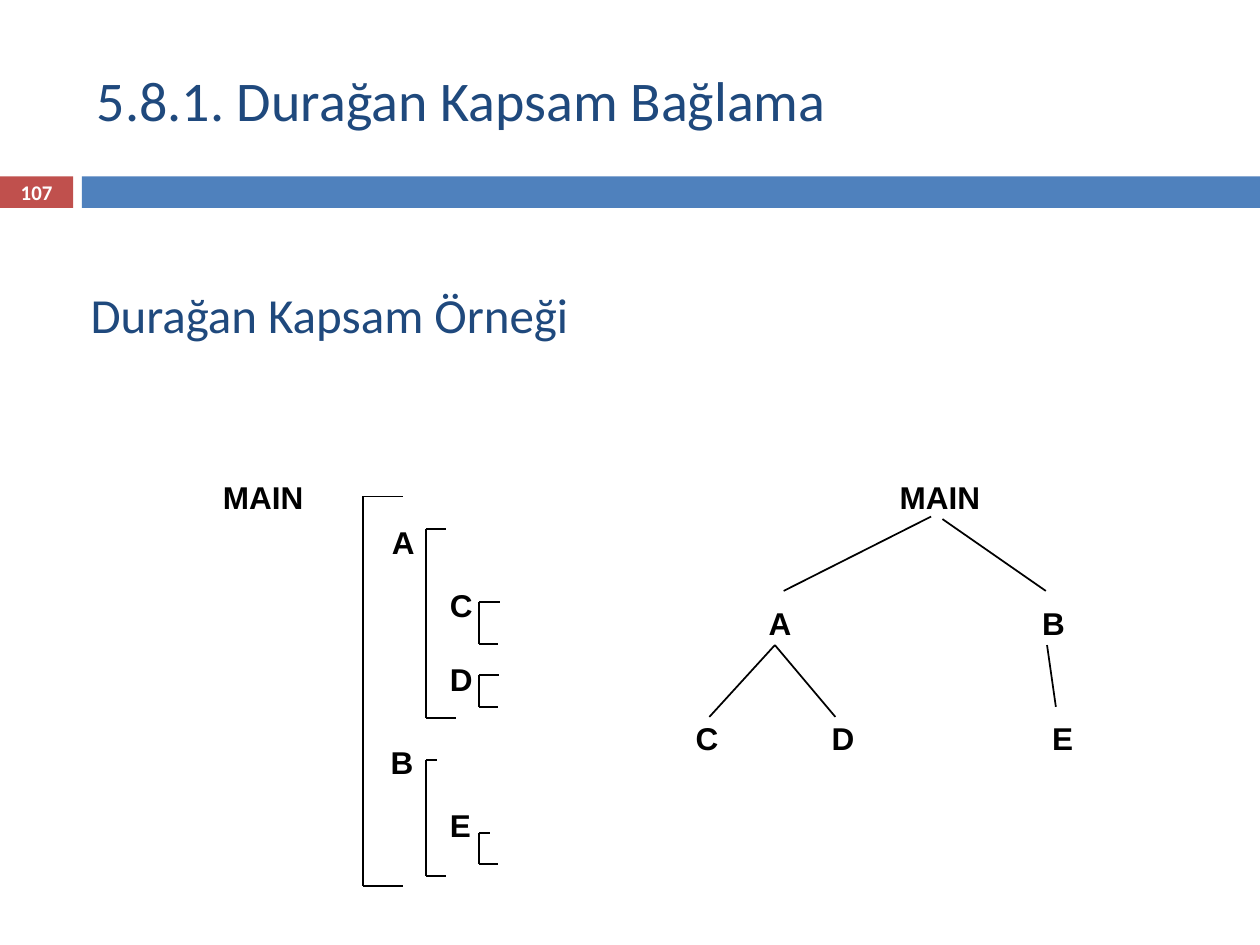
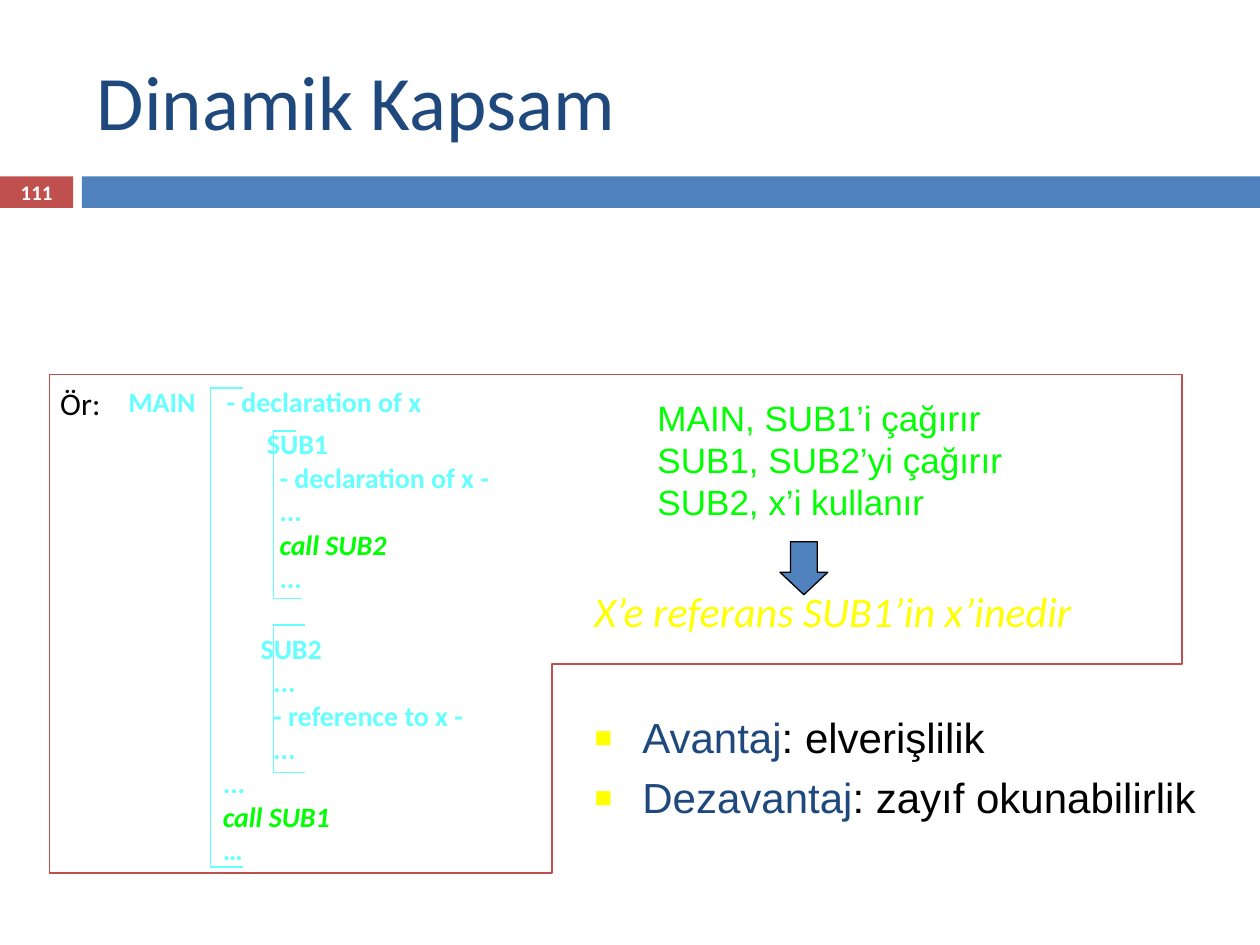
import pptx
import pptx.util
import pptx.oxml
import pptx.oxml.ns
import pptx.dml.color
import pptx.enum.shapes
import pptx.enum.text

Inches = pptx.util.Inches
Pt = pptx.util.Pt
RGBColor = pptx.dml.color.RGBColor
MSO_SHAPE = pptx.enum.shapes.MSO_SHAPE
MIDDLE = pptx.enum.text.MSO_ANCHOR.MIDDLE

NAVY = RGBColor(0x1F, 0x49, 0x7D)
BLUE = RGBColor(0x4F, 0x81, 0xBD)
RED = RGBColor(0xC0, 0x50, 0x4D)
WHITE = RGBColor(0xFF, 0xFF, 0xFF)
BLACK = RGBColor(0, 0, 0)
CYAN = RGBColor(0x66, 0xFF, 0xFF)
GREEN = RGBColor(0, 0xFF, 0)
YELLOW = RGBColor(0xFF, 0xFF, 0)


def write(slide, place, lines, size, color, font="Calibri", bold=False, inset=(0.1, 0.05)):
    frame = slide.shapes.add_textbox(*map(Inches, place)).text_frame
    frame.word_wrap = True
    frame.margin_left = frame.margin_right = Inches(inset[0])
    frame.margin_top = frame.margin_bottom = Inches(inset[1])
    for index, line in enumerate(lines):
        paragraph = frame.add_paragraph() if index else frame.paragraphs[0]
        paragraph.text = line
        run_font = paragraph.runs[0].font
        run_font.name, run_font.size, run_font.bold = font, Pt(size), bold
        run_font.color.rgb = color
    return frame


def rule(slide, x1, y1, x2, y2, color):
    line = slide.shapes.add_connector(
        pptx.enum.shapes.MSO_CONNECTOR.STRAIGHT, *map(Inches, (x1, y1, x2, y2)))
    line.line.color.rgb = color
    line.line.width = Pt(1)
    line._element.spPr.append(pptx.oxml.parse_xml(
        f'<a:effectLst {pptx.oxml.ns.nsdecls("a")}/>'))


deck = pptx.Presentation()
deck.slide_width = Inches(10)
deck.slide_height = Inches(7.5)

slides = []
for title, title_size, number in (
    ("5.8.1. Durağan Kapsam Bağlama", 32, "107"),
    ("Dinamik Kapsam", 44, "111"),
):
    slide = deck.slides.add_slide(deck.slide_layouts[6])
    slides.append(slide)
    for left, width, color in ((0, 0.58, RED), (0.65, 9.35, BLUE)):
        band = slide.shapes.add_shape(
            MSO_SHAPE.RECTANGLE, Inches(left), Inches(1.4), Inches(width), Inches(0.25))
        band.shadow.inherit = False
        band.fill.solid()
        band.fill.fore_color.rgb = color
        band.line.fill.background()
    heading = write(slide, (0.67, 0.25, 8.92, 1.08), [title], title_size, NAVY)
    heading.vertical_anchor = MIDDLE
    page = write(slide, (0, 1.39, 0.58, 0.27), [number], 11.9, WHITE, bold=True)
    page.vertical_anchor = MIDDLE
    page.paragraphs[0].alignment = pptx.enum.text.PP_ALIGN.CENTER

static_scope, dynamic_scope = slides

subtitle = write(static_scope, (0.62, 1.95, 8.92, 1.08), ["Durağan Kapsam Örneği"], 28, NAVY)
subtitle.vertical_anchor = MIDDLE

for name, left, top, width in (
    ("MAIN", 1.72, 3.77, 1.07),
    ("A", 3.06, 4.13, 0.28), ("C", 3.52, 4.63, 0.28), ("D", 3.52, 5.22, 0.28),
    ("B", 3.05, 5.88, 0.28), ("E", 3.52, 6.38, 0.28),
    ("MAIN", 7.09, 3.77, 0.88),
    ("A", 6.05, 4.77, 0.28), ("B", 8.22, 4.77, 0.28),
    ("C", 5.47, 5.69, 0.28), ("D", 6.55, 5.69, 0.28), ("E", 8.3, 5.69, 0.28),
):
    write(static_scope, (left, top, width, 0.34), [name], 18, BLACK, "Arial", True, (0.05, 0.02))

for branch in (
    (7.39, 4.1, 6.22, 4.69), (7.48, 4.12, 8.3, 4.69),
    (6.15, 5.12, 5.63, 5.69), (6.15, 5.12, 6.63, 5.69), (8.31, 5.12, 8.38, 5.61),
):
    rule(static_scope, *branch, BLACK)

code_lines = (
    ("MAIN\t- declaration of x", 0, 0),
    ("SUB1", 1.1, 5),
    ("- declaration of x -", 1.2, 0),
    ("...", 1.2, 0),
    ("call SUB2", 1.2, 0),
    ("...", 1.2, 0),
    ("SUB2", 1.05, 21),
    ("...", 1.15, 0),
    ("- reference to x -", 1.15, 0),
    ("...", 1.15, 0),
    ("...", 0.75, 0),
    ("call SUB1", 0.75, 0),
    ("…", 0.75, 0),
)
code = write(dynamic_scope, (0.92, 3, 3.71, 4), [text for text, _, _ in code_lines],
             16, CYAN, bold=True)
for paragraph, (text, indent, gap) in zip(code.paragraphs, code_lines):
    properties = paragraph._p.get_or_add_pPr()
    properties.set("marL", str(Inches(indent)))
    paragraph.space_before = Pt(gap)
    if "\t" in text:
        properties.append(pptx.oxml.parse_xml(
            f'<a:tabLst {pptx.oxml.ns.nsdecls("a")}>'
            f'<a:tab pos="{Inches(0.78)}" algn="l"/></a:tabLst>'))
    if text.startswith("call"):
        paragraph.runs[0].font.italic = True
        paragraph.runs[0].font.color.rgb = GREEN

for slide, color, left, top, bottom, top_arm, bottom_arm in (
    (static_scope, BLACK, 2.88, 3.94, 7.03, 0.32, 0.32),
    (static_scope, BLACK, 3.38, 4.2, 5.7, 0.16, 0.24),
    (static_scope, BLACK, 3.8, 4.78, 5.11, 0.17, 0.15),
    (static_scope, BLACK, 3.8, 5.36, 5.61, 0.16, 0.15),
    (static_scope, BLACK, 3.38, 6.03, 6.95, 0.09, 0.16),
    (static_scope, BLACK, 3.8, 6.61, 6.86, 0.09, 0.15),
    (dynamic_scope, CYAN, 1.67, 3.08, 6.88, 0.26, 0.26),
    (dynamic_scope, CYAN, 2.17, 3.42, 4.75, 0.18, 0.23),
    (dynamic_scope, CYAN, 2.17, 4.96, 6.13, 0.25, 0.25),
):
    rule(slide, left, top, left + top_arm, top, color)
    rule(slide, left, top, left, bottom, color)
    rule(slide, left, bottom, left + bottom_arm, bottom, color)

write(dynamic_scope, (0.38, 3, 0.6, 0.4), ["Ör:"], 18, BLACK)
write(dynamic_scope, (5.12, 3.1, 3.16, 1.11),
      ["MAIN, SUB1’i çağırır", "SUB1, SUB2’yi çağırır", "SUB2, x’i kullanır"],
      20, GREEN, "Arial")
conclusion = write(dynamic_scope, (4.62, 4.6, 4.2, 0.5),
                   ["X’e referans SUB1’in x’inedir"], 24, YELLOW)
conclusion.paragraphs[0].runs[0].font.italic = True

leads_to = dynamic_scope.shapes.add_shape(
    MSO_SHAPE.DOWN_ARROW, Inches(6.19), Inches(4.3), Inches(0.38), Inches(0.42))
leads_to.shadow.inherit = False
leads_to.adjustments[0] = 0.56
leads_to.adjustments[1] = 0.47
leads_to.fill.solid()
leads_to.fill.fore_color.rgb = BLUE
leads_to.line.color.rgb = BLACK
leads_to.line.width = Pt(0.75)

outline = dynamic_scope.shapes.build_freeform(Inches(0.39), Inches(2.97))
outline.add_line_segments(
    [(Inches(x), Inches(y)) for x, y in
     ((0.39, 6.93), (4.38, 6.93), (4.38, 5.27), (9.38, 5.27), (9.38, 2.97))], close=True)
example_frame = outline.convert_to_shape()
example_frame.shadow.inherit = False
example_frame.fill.background()
example_frame.line.color.rgb = RED
example_frame.line.width = Pt(0.75)

verdicts = ("elverişlilik", "zayıf okunabilirlik")
pros_cons = write(dynamic_scope, (4.62, 5.6, 5.38, 1), ["Avantaj", "Dezavantaj"],
                  24, NAVY, "Arial")
for paragraph, verdict in zip(pros_cons.paragraphs, verdicts):
    detail = paragraph.add_run()
    detail.text = f": {verdict}"
    detail.font.name, detail.font.size = "Arial", Pt(24)
    detail.font.color.rgb = BLACK
    paragraph.space_before = Pt(5.5)
    properties = paragraph._p.get_or_add_pPr()
    properties.set("marL", str(Inches(0.38)))
    properties.set("indent", str(-Inches(0.38)))
    for bullet in (
        f'<a:buClr {{}}><a:srgbClr val="{YELLOW}"/></a:buClr>',
        '<a:buSzPct {} val="70000"/>',
        '<a:buFont {} typeface="Arial"/>',
        '<a:buChar {} char="■"/>',
    ):
        properties.append(pptx.oxml.parse_xml(bullet.format(pptx.oxml.ns.nsdecls("a"))))

deck.save("out.pptx")
